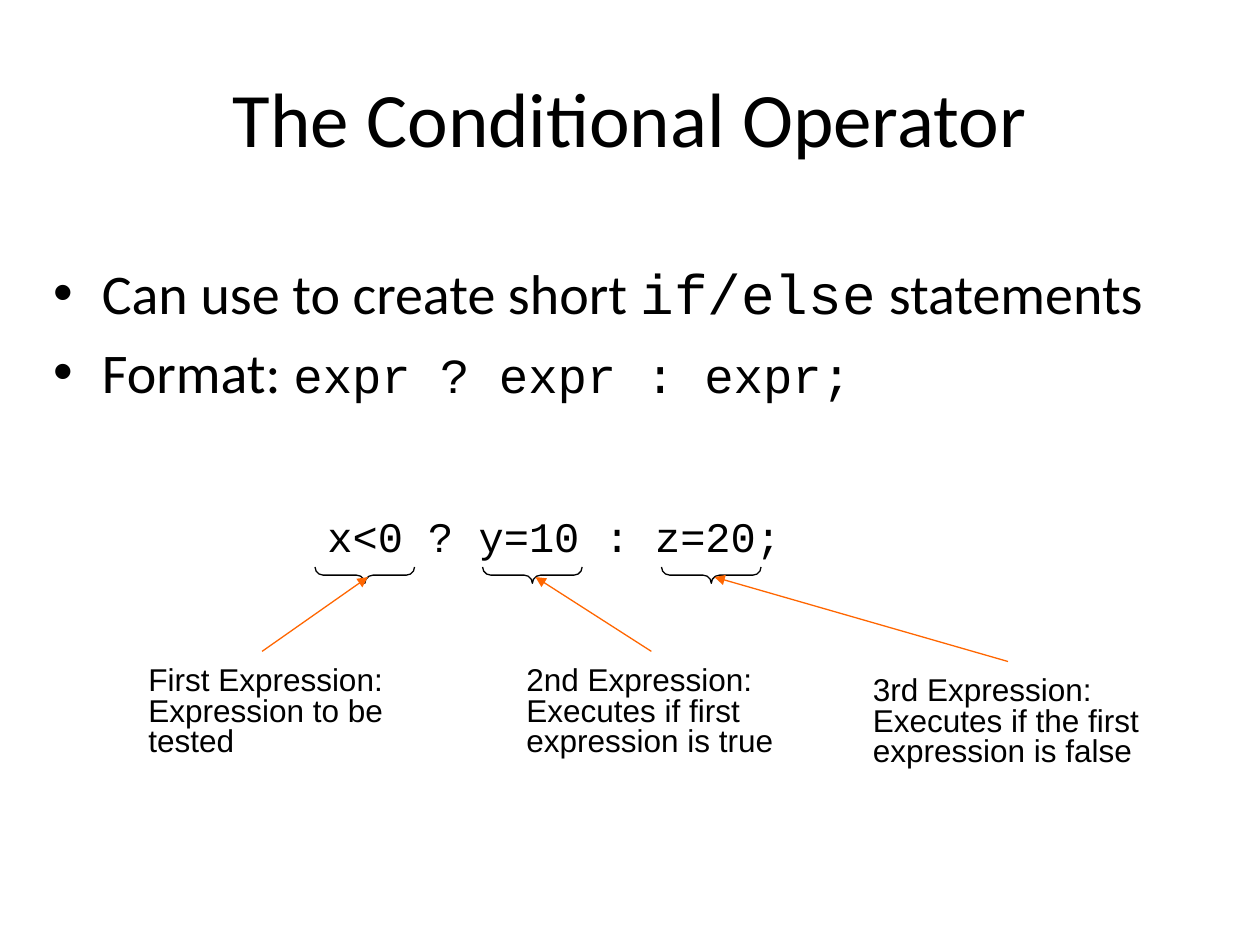
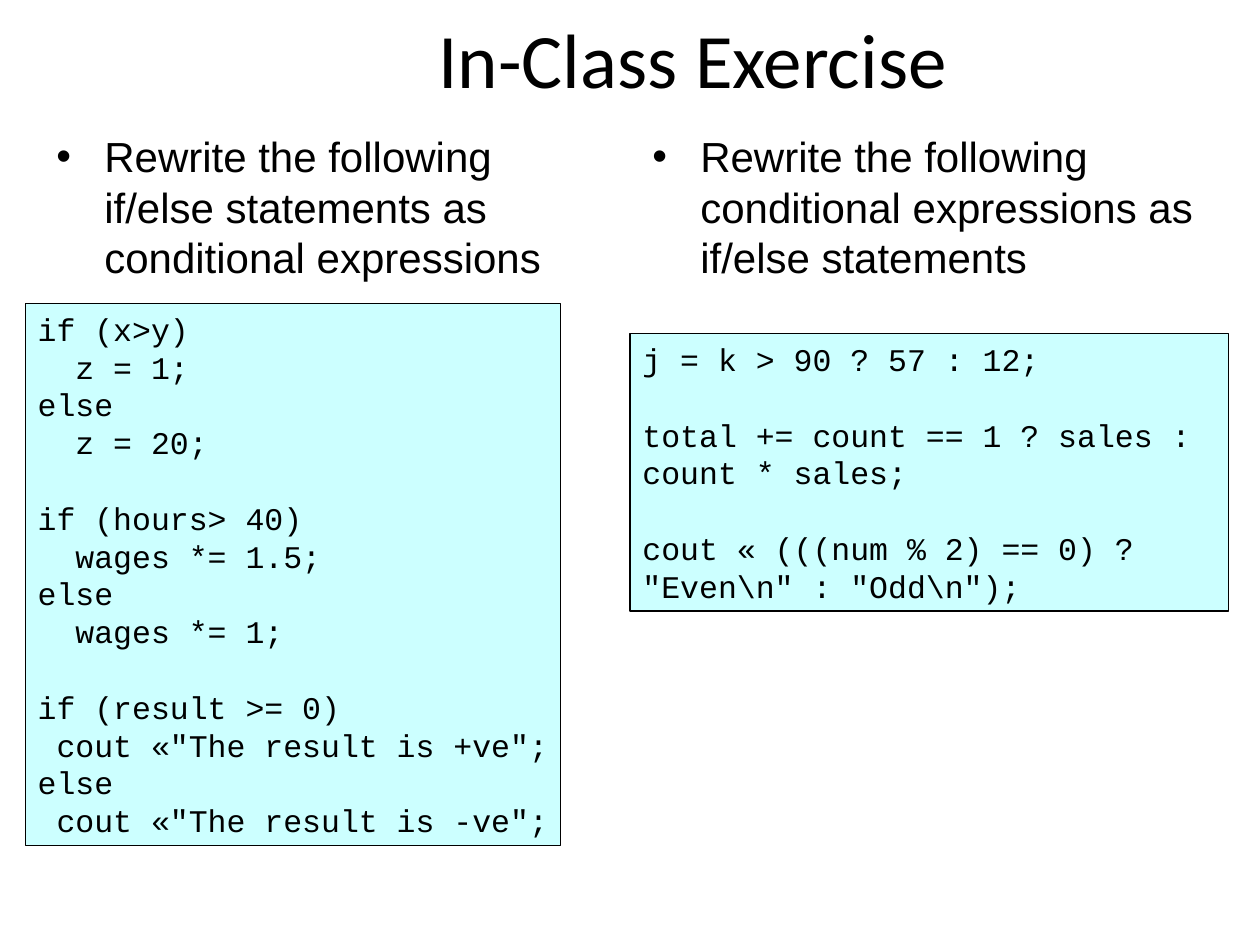
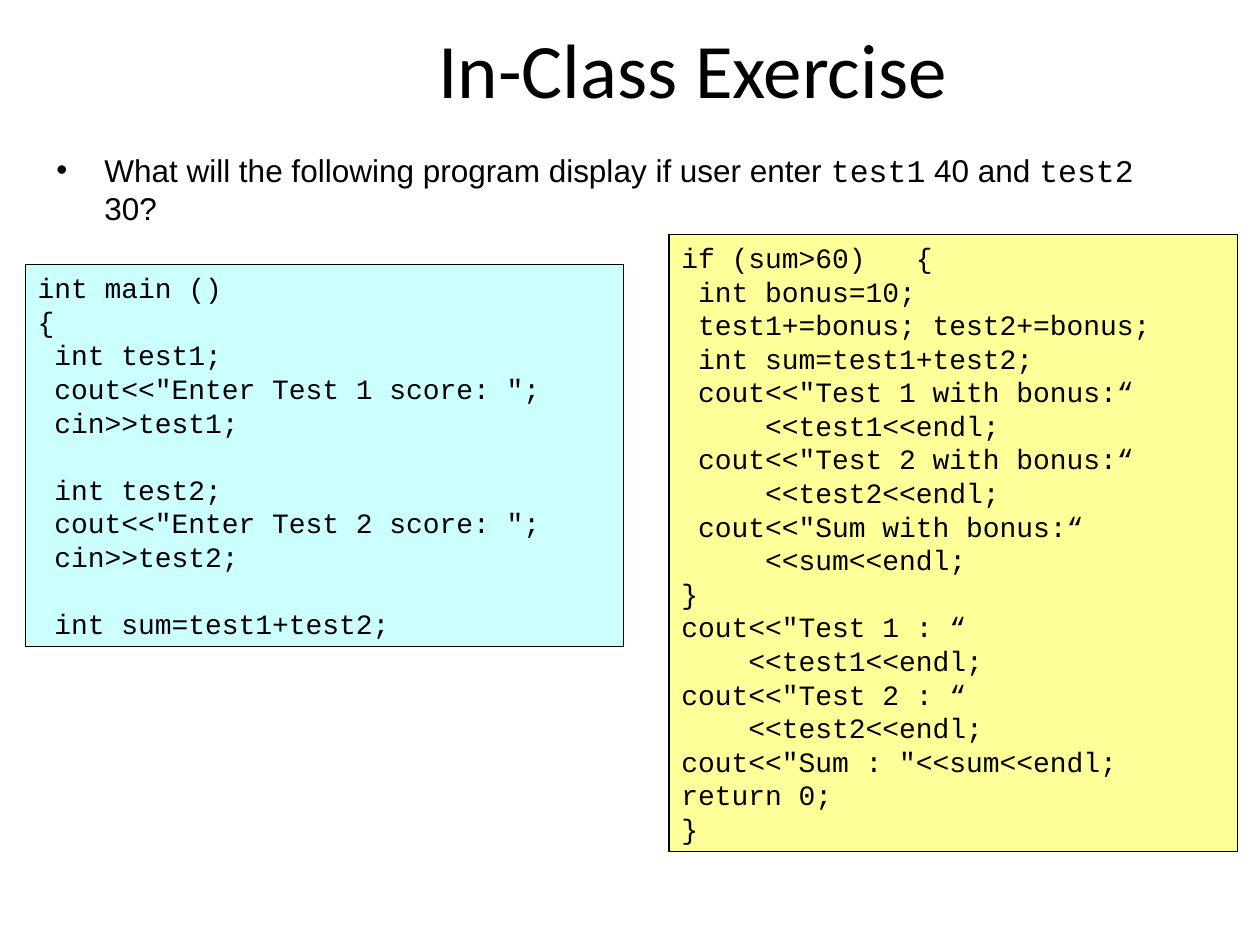
from dataclasses import dataclass

from lxml import etree
from pptx import Presentation
from pptx import util as u
from pptx.dml.color import RGBColor
from pptx.enum import shapes, text
from pptx.oxml.ns import qn


@dataclass(frozen=True)
class Theme:
    ink: str = "000000"
    arrow: str = "FF6600"
    cyan: str = "CCFFFF"
    yellow: str = "FFFF99"
    head: str = "Calibri"
    sans: str = "Arial"
    mono: str = "Courier New"
    title: int = 44
    lead: int = 32
    form: int = 28
    mid: int = 24
    small: int = 18
    tiny: int = 16
    line: float = 0.75


T = Theme()

TITLES = [
    ("The Conditional Operator", (0.5, 0.3, 9, 1.25)),
    ("In-Class Exercise", (1, 0, 9, 0.91)),
    ("In-Class Exercise", (1, 0, 9, 1.07)),
]

POINTS = [
    ("Can use to create short `if/else` statements", T.lead),
    ("Format: `expr ? expr : expr;`", T.form),
]

SAMPLE = "x<0 ? y=10 : z=20;"
BRACES = [2.5, 3.83, 5.25]

LABELS = [
    ("First Expression:\nExpression to be\ntested", (1.08, 5.25, 2.06, 0.82)),
    ("2nd Expression:\nExecutes if first\nexpression is true", (4.08, 5.25, 2.16, 0.82)),
    ("3rd Expression:\nExecutes if the first\nexpression is false", (6.83, 5.33, 2.31, 0.82)),
]

ARROWS = [
    (2.08, 5.17, 2.92, 4.58),
    (5.17, 5.17, 4.25, 4.58),
    (8, 5.25, 5.67, 4.58),
]

TASKS = [
    ("Rewrite the following if/else statements as conditional expressions", 0.35),
    ("Rewrite the following conditional expressions as if/else statements", 5.08),
]

QUIZ = "What will the following program display if user enter `test1` 40 and `test2` 30?"

BRANCH = '''if (x>y)
  z = 1;
else
  z = 20;

if (hours> 40)
  wages *= 1.5;
else
  wages *= 1;

if (result >= 0)
 cout «"The result is +ve";
else
 cout «"The result is -ve";'''

TERNARY = r'''j = k > 90 ? 57 : 12;

total += count == 1 ? sales : count * sales;

cout « (((num % 2) == 0) ? "Even\n" : "Odd\n");'''

INPUT = '''int main ()
{
 int test1;
 cout<<"Enter Test 1 score: ";
 cin>>test1;

 int test2;
 cout<<"Enter Test 2 score: ";
 cin>>test2;

 int sum=test1+test2;'''

BONUS = '''if (sum>60)   {
 int bonus=10;
 test1+=bonus; test2+=bonus;
 int sum=test1+test2;
 cout<<"Test 1 with bonus:“
     <<test1<<endl;
 cout<<"Test 2 with bonus:“
     <<test2<<endl;
 cout<<"Sum with bonus:“
     <<sum<<endl;
}
cout<<"Test 1 : “
    <<test1<<endl;
cout<<"Test 2 : “
    <<test2<<endl;
cout<<"Sum : "<<sum<<endl;
return 0;
}'''


def inch(box):
    return [u.Inches(v) for v in box]


def style(run, face, size):
    run.font.name = face
    run.font.size = u.Pt(size)
    run.font.color.rgb = RGBColor.from_string(T.ink)


def add_text(slide, box, wrap=True):
    frame = slide.shapes.add_textbox(*inch(box)).text_frame
    frame.word_wrap = wrap
    return frame


def fill_text(frame, words, face, size):
    frame.text = words
    for para in frame.paragraphs:
        for run in para.runs:
            style(run, face, size)


def add_title(slide, words, box):
    frame = add_text(slide, box)
    frame.vertical_anchor = text.MSO_ANCHOR.MIDDLE
    fill_text(frame, words, T.head, T.title)
    frame.paragraphs[0].alignment = text.PP_ALIGN.CENTER


def add_points(slide, box, items, face, size, right=0.0):
    frame = add_text(slide, box)
    frame.margin_right = u.Inches(right)
    for i, (words, code) in enumerate(items):
        para = frame.add_paragraph() if i else frame.paragraphs[0]
        props = para._p.get_or_add_pPr()
        props.set("marL", str(u.Inches(0.38)))
        props.set("indent", str(-u.Inches(0.38)))
        etree.SubElement(props, qn("a:buFont"), typeface=T.sans)
        etree.SubElement(props, qn("a:buChar"), char="•")
        if i:
            para.space_before = u.Pt(7)
        for j, part in enumerate(words.split("`")):
            if part:
                run = para.add_run()
                run.text = part
                style(run, T.mono if j % 2 else face, code if j % 2 else size)


def add_code(slide, code, box, size, fill):
    panel = slide.shapes.add_shape(shapes.MSO_SHAPE.RECTANGLE, *inch(box))
    panel.shadow.inherit = False
    panel.fill.solid()
    panel.fill.fore_color.rgb = RGBColor.from_string(fill)
    set_line(panel, T.ink)
    frame = panel.text_frame
    frame.word_wrap = True
    frame.vertical_anchor = text.MSO_ANCHOR.TOP
    frame.margin_right = u.Inches(0.05)
    blocks = code.split("\n\n")
    fill_text(frame, "\n".join(blocks), T.mono, size)
    for para in frame.paragraphs:
        para.alignment = text.PP_ALIGN.LEFT
    first = 0
    for block in blocks[:-1]:
        first += len(block.split("\n"))
        frame.paragraphs[first].space_before = u.Pt(1.2 * size)


def set_line(shape, color):
    shape.line.color.rgb = RGBColor.from_string(color)
    shape.line.width = u.Pt(T.line)


def add_brace(slide, left):
    wide, high = 0.79, 0.13
    box = (left + (wide - high) / 2, 4.5 + (high - wide) / 2, high, wide)
    brace = slide.shapes.add_shape(shapes.MSO_SHAPE.RIGHT_BRACE, *inch(box))
    brace.rotation = 90
    brace.adjustments[0] = 0.5
    brace.shadow.inherit = False
    brace.fill.background()
    set_line(brace, T.ink)


def add_arrow(slide, ends):
    arrow = slide.shapes.add_connector(shapes.MSO_CONNECTOR.STRAIGHT, *inch(ends))
    set_line(arrow, T.arrow)
    etree.SubElement(arrow.line._get_or_add_ln(), qn("a:tailEnd"), type="triangle")
    etree.SubElement(arrow._element.spPr, qn("a:effectLst"))


def draw_operator(slide):
    add_points(slide, (0.33, 2, 9.07, 1.5), POINTS, T.head, T.lead, 0.1)
    fill_text(add_text(slide, (2.5, 4, 3.8, 0.5), False), SAMPLE, T.mono, T.mid)
    for words, box in LABELS:
        frame = add_text(slide, box, False)
        fill_text(frame, words, T.sans, T.small)
        for para in frame.paragraphs:
            para.line_spacing = 0.8
    for left in BRACES:
        add_brace(slide, left)
    for ends in ARROWS:
        add_arrow(slide, ends)


def draw_rewrite(slide):
    for words, left in TASKS:
        add_points(slide, (left, 0.99, 4.5, 1.5), [(words, T.mid)], T.sans, T.mid)
    add_code(slide, BRANCH, (0.2, 2.41, 4.25, 4.3), T.small, T.cyan)
    add_code(slide, TERNARY, (5, 2.65, 4.75, 2.2), T.small, T.cyan)


def draw_quiz(slide):
    add_points(slide, (0.35, 1.15, 9.07, 1), [(QUIZ, T.small)], T.sans, T.small)
    add_code(slide, BONUS, (5.31, 1.86, 4.51, 4.9), T.tiny, T.yellow)
    add_code(slide, INPUT, (0.2, 2.1, 4.75, 3.03), T.tiny, T.cyan)


def main():
    deck = Presentation()
    deck.slide_width, deck.slide_height = inch((10, 7.5))
    for (words, box), draw in zip(TITLES, (draw_operator, draw_rewrite, draw_quiz)):
        slide = deck.slides.add_slide(deck.slide_layouts[6])
        draw(slide)
        add_title(slide, words, box)
    deck.save("out.pptx")


if __name__ == "__main__":
    main()
